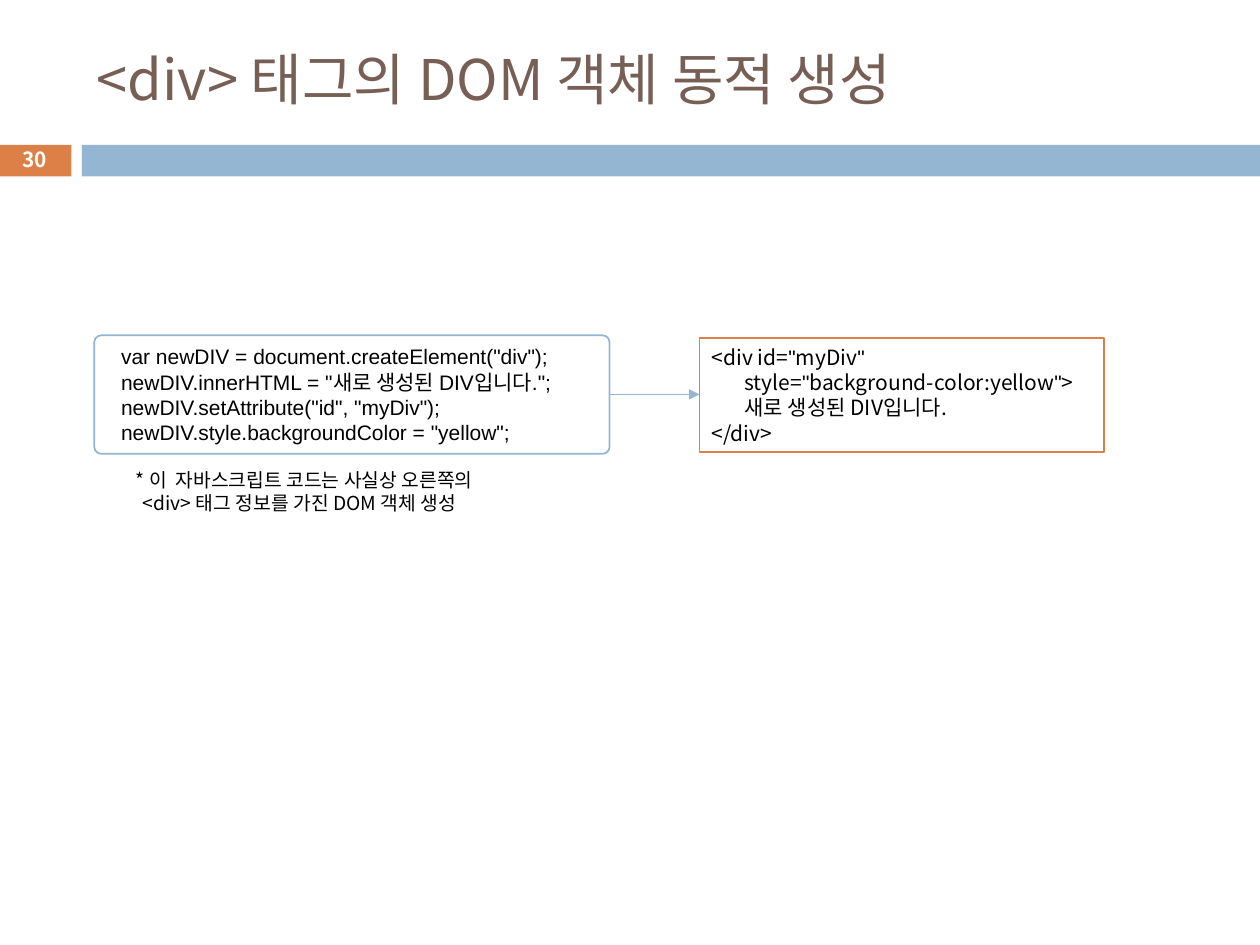
from dataclasses import dataclass

import pptx
import pptx.dml.color
import pptx.enum.shapes
import pptx.enum.text
import pptx.oxml
import pptx.oxml.ns
import pptx.util
from pptx.util import Cm

COLORS = {"blue": "94B6D2", "orange": "DD8047", "brown": "775F55",
          "white": "FFFFFF", "black": "000000"}
KOREAN = "Noto Sans CJK KR"
LATIN = "Arial"
SHAPES = pptx.enum.shapes.MSO_SHAPE
ALIGN = pptx.enum.text.PP_ALIGN
ANCHOR = pptx.enum.text.MSO_ANCHOR


@dataclass
class Line:
    text: str
    indent: float = 0


@dataclass
class Block:
    left: float
    top: float
    width: float
    height: float
    fill: str = ""
    outline: str = ""
    preset: SHAPES = SHAPES.RECTANGLE
    lines: tuple[Line, ...] = ()
    size: float = 12
    color: str = "black"
    font: str = KOREAN
    quote_font: str = KOREAN
    bold: bool = False
    align: ALIGN = ALIGN.LEFT
    anchor: ANCHOR = ANCHOR.TOP
    pitch: float = 0


def rgb(name: str) -> pptx.dml.color.RGBColor:
    return pptx.dml.color.RGBColor.from_string(COLORS[name])


def apply(target, values: dict) -> None:
    for name, value in values.items():
        setattr(target, name, value)


def add_span(para, text: str, font: str, block: Block) -> None:
    span = para.add_run()
    span.text = text
    apply(span.font, {"size": pptx.util.Pt(block.size), "bold": block.bold, "name": font})
    span.font.color.rgb = rgb(block.color)
    east_asian = pptx.oxml.parse_xml(
        f'<a:ea {pptx.oxml.ns.nsdecls("a")} typeface="{KOREAN}"/>')
    span.font._element.append(east_asian)


def write_lines(frame, block: Block) -> None:
    apply(frame, {"word_wrap": True, "vertical_anchor": block.anchor})
    for index, line in enumerate(block.lines):
        para = frame.paragraphs[0] if index == 0 else frame.add_paragraph()
        para.alignment = block.align
        if block.pitch:
            para.line_spacing = pptx.util.Pt(block.pitch)
        para._p.get_or_add_pPr().set("marL", str(Cm(line.indent)))
        if block.font == block.quote_font:
            add_span(para, line.text, block.font, block)
            continue
        for part, text in enumerate(line.text.split('"')):
            if part:
                add_span(para, '"', block.quote_font, block)
            if text:
                add_span(para, text, block.font, block)


def add_block(page, block: Block):
    place = [Cm(n) for n in (block.left, block.top, block.width, block.height)]
    if block.fill:
        box = page.shapes.add_shape(block.preset, *place)
        box.shadow.inherit = False
        box.fill.solid()
        box.fill.fore_color.rgb = rgb(block.fill)
        if block.outline:
            box.line.color.rgb = rgb(block.outline)
            box.line.width = pptx.util.Pt(1)
        else:
            box.line.fill.background()
    else:
        box = page.shapes.add_textbox(*place)
    if block.preset == SHAPES.ROUNDED_RECTANGLE:
        box.adjustments[0] = 0.06
    if block.lines:
        write_lines(box.text_frame, block)
    return box


def add_arrow(page, start, end) -> None:
    arrow = page.shapes.add_connector(
        pptx.enum.shapes.MSO_CONNECTOR.STRAIGHT, start.left + start.width, Cm(7.95),
        end.left, Cm(7.95))
    arrow.line.color.rgb = rgb("blue")
    arrow.line.width = pptx.util.Pt(0.79)
    names = pptx.oxml.ns.nsdecls("a")
    arrow.line._get_or_add_ln().append(
        pptx.oxml.parse_xml(f'<a:tailEnd {names} type="triangle"/>'))
    arrow._element.spPr.append(pptx.oxml.parse_xml(f"<a:effectLst {names}/>"))


number_bar = Block(-0.03, 2.92, 1.47, 0.64, fill="orange")
title_bar = Block(1.65, 2.92, 23.75, 0.64, fill="blue")
title = Block(1.7, 0.64, 22.66, 1.88, size=32, color="brown", anchor=ANCHOR.MIDDLE,
              lines=(Line("<div> 태그의 DOM 객체 동적 생성"),))
number = Block(-0.03, 2.87, 1.47, 0.69, size=11.9, color="white", bold=True,
               align=ALIGN.CENTER, anchor=ANCHOR.MIDDLE, lines=(Line("30"),))
code = Block(1.9, 6.76, 10.39, 2.39, fill="white", outline="blue",
             preset=SHAPES.ROUNDED_RECTANGLE, font=LATIN, quote_font=LATIN, pitch=14.5,
             lines=tuple(Line(text, 0.25) for text in (
                 'var newDIV = document.createElement("div");',
                 'newDIV.innerHTML = "새로 생성된 DIV입니다.";',
                 'newDIV.setAttribute("id", "myDiv");',
                 'newDIV.style.backgroundColor = "yellow";')))
markup = Block(14.1, 6.81, 8.15, 2.31, fill="white", outline="orange",
               quote_font=LATIN, pitch=14.5,
               lines=(Line('<div id="myDiv"'),
                      Line('style="background-color:yellow">', 0.66),
                      Line("새로 생성된 DIV입니다.", 0.66),
                      Line("</div>")))
note = Block(2.49, 9.32, 8.31, 1.19, size=11, pitch=13.2,
             lines=(Line("* 이  자바스크립트 코드는 사실상 오른쪽의"),
                    Line("<div> 태그 정보를 가진 DOM 객체 생성", 0.14)))

deck = pptx.Presentation()
apply(deck, {"slide_width": Cm(25.4), "slide_height": Cm(19.05)})
page = deck.slides.add_slide(deck.slide_layouts[6])
for block in (number_bar, title_bar, title, number):
    add_block(page, block)
code_box, markup_box, note_box = [add_block(page, block) for block in (code, markup, note)]
add_arrow(page, code_box, markup_box)
deck.save("out.pptx")
